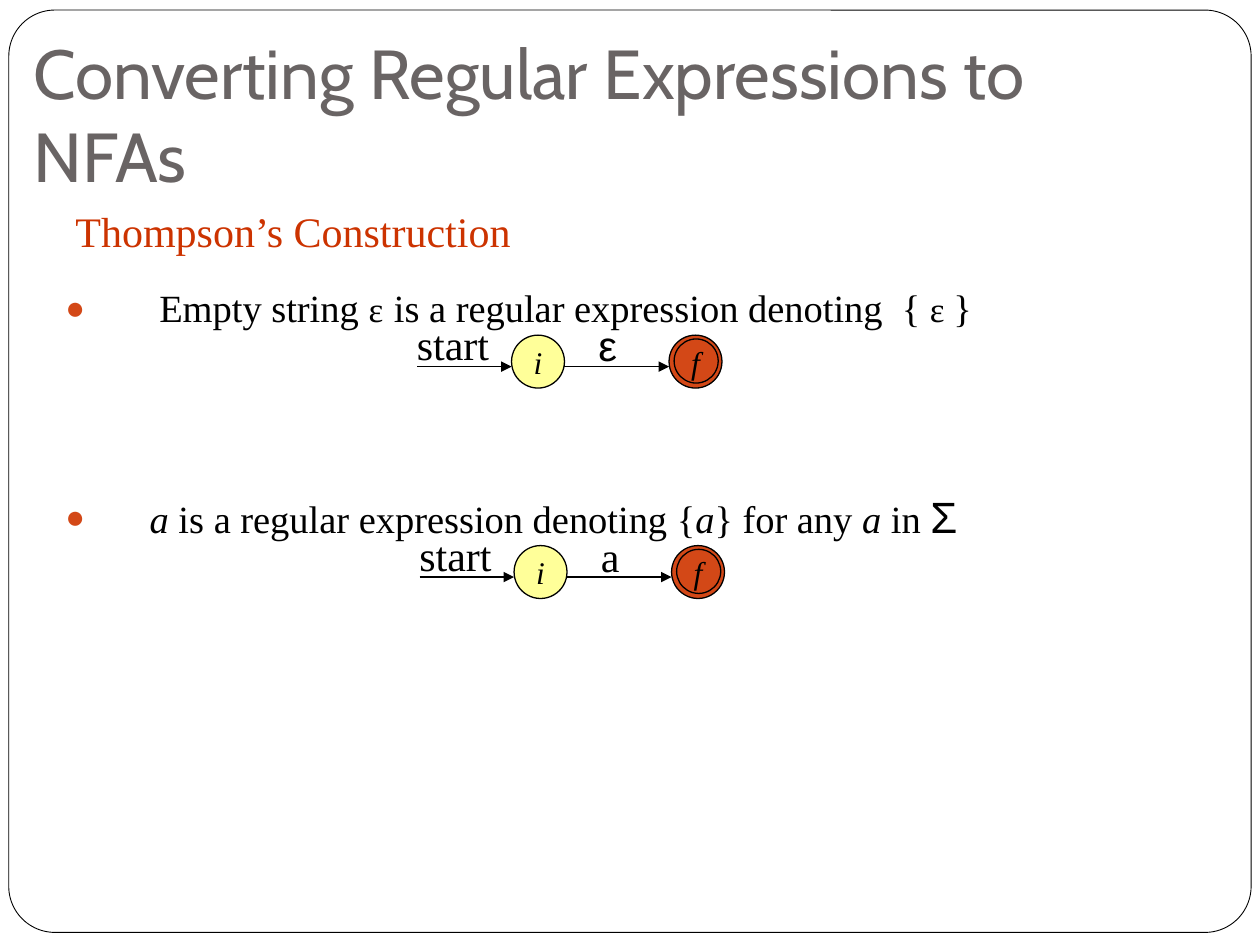
from pptx import Presentation
from pptx.util import Inches, Pt
from pptx.dml.color import RGBColor
from pptx.enum.shapes import MSO_SHAPE, MSO_CONNECTOR
from pptx.enum.text import MSO_ANCHOR, MSO_AUTO_SIZE, PP_ALIGN
from pptx.oxml.ns import qn
from lxml import etree

OVAL = MSO_SHAPE.OVAL
ROUND = MSO_SHAPE.ROUNDED_RECTANGLE
LINE = MSO_CONNECTOR.STRAIGHT
MIDDLE, BOTTOM = MSO_ANCHOR.MIDDLE, MSO_ANCHOR.BOTTOM
GROW = MSO_AUTO_SIZE.SHAPE_TO_FIT_TEXT
CENTER = PP_ALIGN.CENTER
SERIF, SANS = "Times New Roman", "Arial"
COLORS = {"ink": "000000", "paper": "FFFFFF", "title": "696464",
          "head": "CC3300", "start": "FFFF99", "final": "D34817"}

prs = Presentation()
prs.slide_width, prs.slide_height = Inches(10), Inches(7.5)
slide = prs.slides.add_slide(prs.slide_layouts[6])
shapes = slide.shapes


def add_shape(kind, left, top, width, height, fill=None, line=0.75):
    shape = shapes.add_shape(kind, Inches(left), Inches(top), Inches(width), Inches(height))
    shape.shadow.inherit = False
    if fill:
        shape.fill.solid()
        shape.fill.fore_color.rgb = RGBColor.from_string(COLORS[fill])
    else:
        shape.fill.background()
    shape.line.color.rgb = RGBColor.from_string(COLORS["ink"])
    shape.line.width = Pt(line)
    return shape


def add_run(para, text, size, font=SERIF, color="ink", italic=False):
    run = para.add_run()
    run.text = text
    run.font.size = Pt(size)
    run.font.name = font
    run.font.italic = italic
    run.font.color.rgb = RGBColor.from_string(COLORS[color])


frame = add_shape(ROUND, 0.07, 0.08, 9.86, 7.32, "paper", 0.5)
frame.adjustments[0] = 0.05

title = shapes.add_textbox(Inches(0.17), Inches(0.58), Inches(9.08), Inches(1.08)).text_frame
title.word_wrap = True
title.vertical_anchor = BOTTOM
title.margin_bottom = Inches(0.1)
add_run(title.paragraphs[0], "Converting Regular Expressions to NFAs", 39.6, "Cabin", "title")

body = shapes.add_textbox(Inches(0.42), Inches(2.25), Inches(8.5), Inches(5.08)).text_frame
body.word_wrap = True
rules = [
    [(" Empty string ", 22, SERIF), ("ε", 20, SERIF), (" ", 22, SANS),
     ("is a regular expression denoting  { ", 22, SERIF), ("ε ", 20, SERIF), ("}", 22, SERIF)],
    [("a", 22, SERIF, "ink", True), (" is a regular expression denoting {", 22),
     ("a", 22, SERIF, "ink", True), ("} for any ", 22),
     ("a", 22, SERIF, "ink", True), (" in ", 22), ("Σ", 25, SANS)],
]
for num, runs in enumerate(rules):
    para = body.add_paragraph() if num else body.paragraphs[0]
    props = para._p.get_or_add_pPr()
    props.set("marL", str(Inches(0.67)))
    props.set("indent", str(-Inches(0.67)))
    tint = etree.SubElement(props, qn("a:buClr"))
    etree.SubElement(tint, qn("a:srgbClr"), val=COLORS["final"])
    etree.SubElement(props, qn("a:buSzPct"), val="85000")
    etree.SubElement(props, qn("a:buFont"), typeface=SANS)
    etree.SubElement(props, qn("a:buChar"), char="●")
    para.line_spacing = 0.9
    if num:
        para.space_before = Pt(94)
    for run in runs:
        add_run(para, *run)

for left, top, symbol, font in [(3.31, 2.66, "ε", SANS), (3.33, 4.33, "a", SERIF)]:
    for shift, name, fill in [(0.75, "i", "start"), (2, "f", "final")]:
        state = add_shape(OVAL, left + shift, top, 0.42, 0.42, fill)
        text = state.text_frame
        text.word_wrap = False
        text.vertical_anchor = MIDDLE
        text.paragraphs[0].alignment = CENTER
        add_run(text.paragraphs[0], name, 18, italic=True)
    add_shape(OVAL, left + 2.04, top + 0.03, 0.35, 0.35)
    for begin, end in [(0, 0.75), (1.17, 2)]:
        arrow = shapes.add_connector(LINE, Inches(left + begin), Inches(top + 0.25),
                                     Inches(left + end), Inches(top + 0.25))
        arrow.line.color.rgb = RGBColor.from_string(COLORS["ink"])
        arrow.line.width = Pt(0.75)
        etree.SubElement(arrow.line._get_or_add_ln(), qn("a:tailEnd"), type="triangle")
        etree.SubElement(arrow._element.spPr, qn("a:effectLst"))
    for shift, rise, width, word, face in [(-0.1, 0.18, 0.78, "start", SERIF),
                                           (1.34, 0.17, 0.35, symbol, font)]:
        label = shapes.add_textbox(Inches(left + shift), Inches(top - rise),
                                   Inches(width), Inches(0.5)).text_frame
        label.word_wrap = False
        label.auto_size = GROW
        add_run(label.paragraphs[0], word, 24, face)

head = shapes.add_textbox(Inches(0.5), Inches(1.58), Inches(3.98), Inches(0.5)).text_frame
head.word_wrap = False
head.auto_size = GROW
add_run(head.paragraphs[0], "Thompson’s Construction", 24, color="head")

prs.save("out.pptx")
